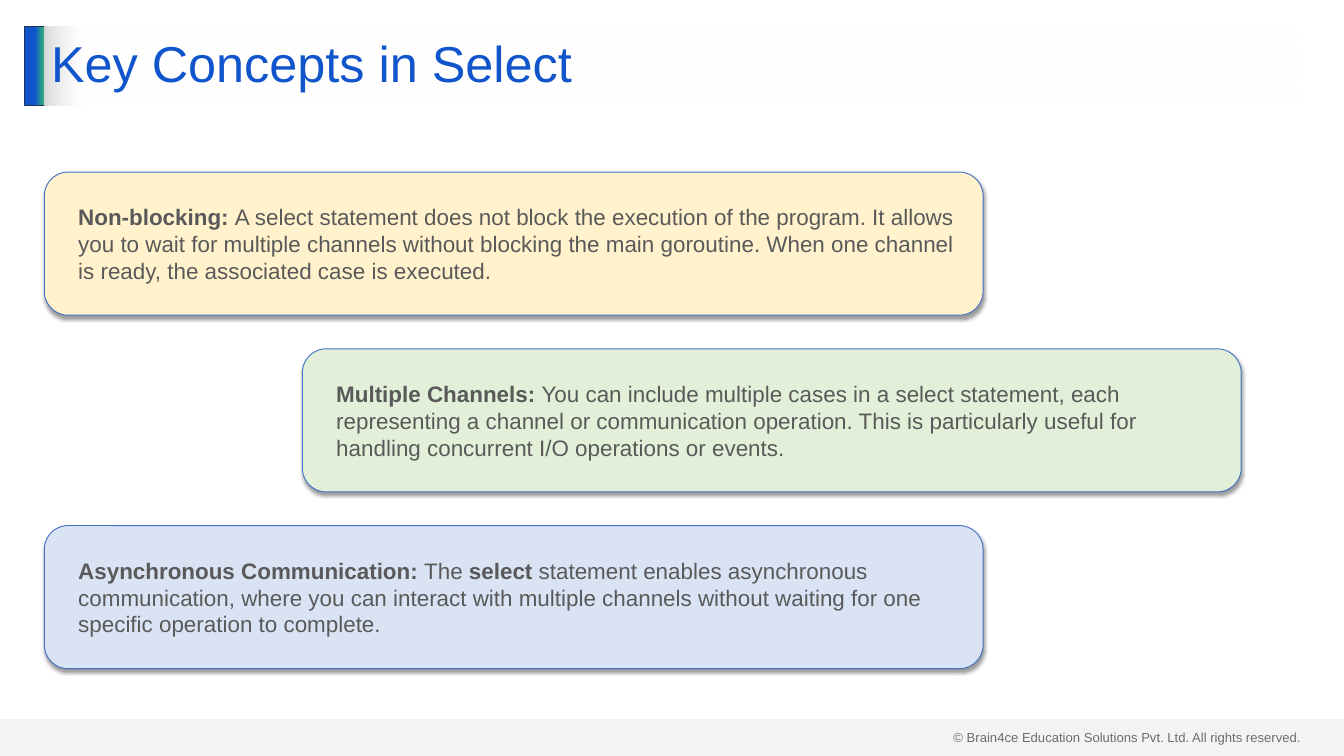
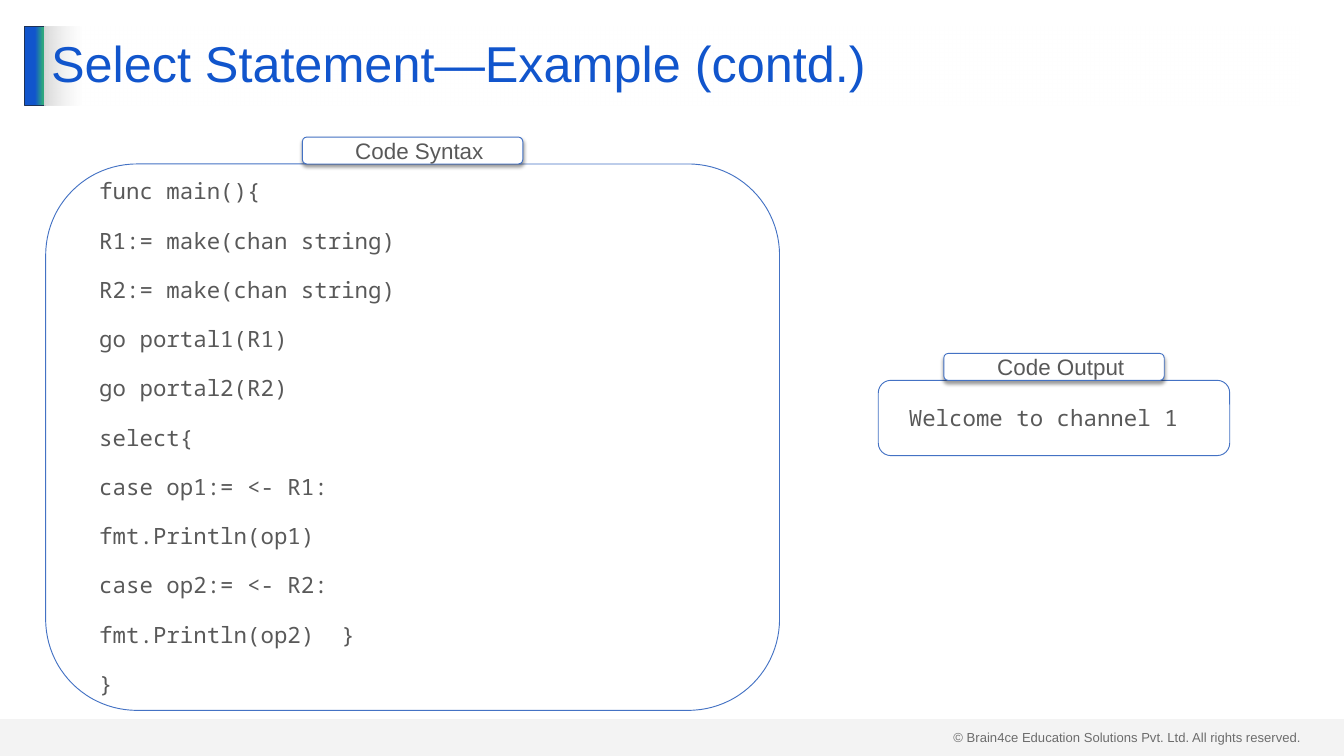
from lxml import etree
from pptx import Presentation
from pptx.dml.color import RGBColor
from pptx.enum.shapes import MSO_SHAPE as Shape
from pptx.enum.text import MSO_ANCHOR as Anchor, MSO_AUTO_SIZE as AutoSize, PP_ALIGN as Align
from pptx.oxml.ns import qn
from pptx.util import Inches, Pt

BLUE = RGBColor(0x11, 0x55, 0xCC)
GREEN = RGBColor(0x2E, 0xA8, 0x7D)
NAVY = RGBColor(0x1E, 0x32, 0x56)
OUTLINE = RGBColor(0x44, 0x72, 0xC4)
WHITE = RGBColor(0xFF, 0xFF, 0xFF)
SILVER = RGBColor(0xD9, 0xD9, 0xD9)
BODY = RGBColor(0x59, 0x59, 0x59)
FOOTER = RGBColor(0x40, 0x40, 0x40)
CREAM = RGBColor(0xFF, 0xF2, 0xCC)
MINT = RGBColor(0xE2, 0xF0, 0xD9)
SKY = RGBColor(0xDA, 0xE3, 0xF3)
SANS = "Arial"
MONO = "Noto Sans Mono"

presentation = Presentation()
presentation.slide_width = Inches(20)
presentation.slide_height = Inches(11.25)
COLUMN = presentation.slide_width / 100
ROW = presentation.slide_height / 100
HEADER_TOP, HEADER_HEIGHT = 3.47 * ROW, 10.49 * ROW


def set_gradient(shape, stops):
    shape.fill.gradient()
    shape.fill.gradient_angle = 0
    stop_list = shape.element.spPr.find(qn("a:gradFill")).find(qn("a:gsLst"))
    for stop in list(stop_list):
        stop_list.remove(stop)
    for position, color, opacity in stops:
        stop = etree.SubElement(stop_list, qn("a:gs"), pos=str(position * 1000))
        color_element = etree.SubElement(stop, qn("a:srgbClr"), val=str(color))
        if opacity < 100:
            etree.SubElement(color_element, qn("a:alpha"), val=str(opacity * 1000))


def add_box(slide, left, top, width, height, lines, fill=None, font=SANS, align=Align.LEFT):
    box = slide.shapes.add_shape(Shape.ROUNDED_RECTANGLE, int(left * COLUMN), int(top * ROW),
                                 int(width * COLUMN), int(height * ROW))
    box.shadow.inherit = False
    box.line.color.rgb = OUTLINE
    box.line.width = Pt(1)
    if fill is None:
        box.fill.background()
    else:
        box.fill.solid()
        box.fill.fore_color.rgb = fill
        effects = box.element.spPr.find(qn("a:effectLst"))
        shadow = etree.SubElement(effects, qn("a:outerShdw"), blurRad=str(Pt(4)), dist=str(Pt(3)),
                                  dir="5400000", algn="t", rotWithShape="0")
        shadow_color = etree.SubElement(shadow, qn("a:srgbClr"), val="000000")
        etree.SubElement(shadow_color, qn("a:alpha"), val="40000")
    frame = box.text_frame
    frame.word_wrap = True
    frame.vertical_anchor = Anchor.MIDDLE
    frame.margin_left = frame.margin_right = Inches(0.2)
    frame.margin_top = frame.margin_bottom = Inches(0.1)
    for index, line in enumerate(lines):
        paragraph = frame.add_paragraph() if index else frame.paragraphs[0]
        paragraph.level = 1
        paragraph.alignment = align
        paragraph.space_before = Pt(12 if index else 0)
        paragraph.space_after = Pt(12 if index < len(lines) - 1 else 0)
        properties = paragraph._p.get_or_add_pPr()
        properties.set("marL", str(Inches(0.2)))
        properties.set("indent", "0")
        for part, text in enumerate(line.split("**")):
            if text:
                run = paragraph.add_run()
                run.text = text
                run.font.name = font
                run.font.size = Pt(24)
                run.font.bold = part % 2 == 1
                run.font.color.rgb = BODY
    return box


layout = presentation.slide_layouts[5]
for placeholder in list(layout.placeholders)[1:]:
    layout.shapes.element.remove(placeholder.element)

titles = ["Key Concepts in Select", "Select Statement—Example (contd.)"]
slides = []
for text in titles:
    slide = presentation.slides.add_slide(layout)
    title = slide.shapes.title
    title.left, title.top = int(3.3 * COLUMN), int(HEADER_TOP)
    title.width, title.height = int(93.35 * COLUMN), int(HEADER_HEIGHT)
    set_gradient(title, [(0, SILVER, 100), (3, WHITE, 50)])
    frame = title.text_frame
    frame.text = text
    frame.word_wrap = True
    frame.auto_size = AutoSize.NONE
    frame.vertical_anchor = Anchor.MIDDLE
    paragraph = frame.paragraphs[0]
    paragraph.alignment = Align.LEFT
    paragraph.line_spacing = 0.9
    paragraph.font.name = SANS
    paragraph.font.size = Pt(54)
    paragraph.font.color.rgb = BLUE
    slides.append(slide)
concepts, example = slides

copyright_box = concepts.shapes.add_textbox(int(70.45 * COLUMN), int(96 * ROW),
                                            int(27.05 * COLUMN), int(3.02 * ROW))
copyright_box.text_frame.text = "© Brain4ce Education Solutions Pvt. Ltd. All rights reserved."
copyright_run = copyright_box.text_frame.paragraphs[0].runs[0]
copyright_run.font.name = SANS
copyright_run.font.size = Pt(14)
copyright_run.font.color.rgb = FOOTER

accent = concepts.shapes.add_shape(Shape.RECTANGLE, int(1.85 * COLUMN), int(HEADER_TOP),
                                   int(1.5 * COLUMN), int(HEADER_HEIGHT))
accent.shadow.inherit = False
set_gradient(accent, [(51, BLUE, 100), (90, GREEN, 100), (100, GREEN, 100)])
accent.line.color.rgb = NAVY
accent.line.width = Pt(1)

band = concepts.shapes.add_shape(Shape.RECTANGLE, 0, int(95.11 * ROW),
                                 int(100 * COLUMN), int(4.89 * ROW))
band.shadow.inherit = False
band.fill.solid()
band.fill.fore_color.rgb = SILVER
band_color = band.element.spPr.find(qn("a:solidFill")).find(qn("a:srgbClr"))
etree.SubElement(band_color, qn("a:alpha"), val="29000")
band.line.fill.background()

for shape in (copyright_box, accent, band):
    layout.shapes.element.append(shape.element)

cards = [
    (3.3, CREAM, "**Non-blocking: **A select statement does not block the execution of the program. "
     "It allows you to wait for multiple channels without blocking the main goroutine. "
     "When one channel is ready, the associated case is executed."),
    (22.5, MINT, "**Multiple Channels: **You can include multiple cases in a select statement, "
     "each representing a channel or communication operation. "
     "This is particularly useful for handling concurrent I/O operations or events."),
    (3.3, SKY, "**Asynchronous Communication: **The** select **statement enables asynchronous "
     "communication, where you can interact with multiple channels without waiting for one "
     "specific operation to complete."),
]
for index, (left, fill, text) in enumerate(cards):
    add_box(concepts, left, 22.76 + 23.38 * index, 69.85, 18.93, [text], fill)

code = """func main(){
R1:= make(chan string)
R2:= make(chan string)
go portal1(R1)
go portal2(R2)
select{
case op1:= <- R1:
fmt.Println(op1)
case op2:= <- R2:
fmt.Println(op2)  }
}"""
panels = [
    ("Code Syntax", code, 3.4, 21.69, 54.6, 72.27),
    ("Code Output", "Welcome to channel 1", 65.35, 50.31, 26.15, 9.96),
]
LABEL_WIDTH, LABEL_HEIGHT = 16.4, 3.56
for label, text, left, top, width, height in panels:
    add_box(example, left, top, width, height, text.splitlines(), font=MONO)
    add_box(example, left + (width - LABEL_WIDTH) / 2, top - LABEL_HEIGHT,
            LABEL_WIDTH, LABEL_HEIGHT, [label], WHITE, align=Align.CENTER)

presentation.save("out.pptx")
